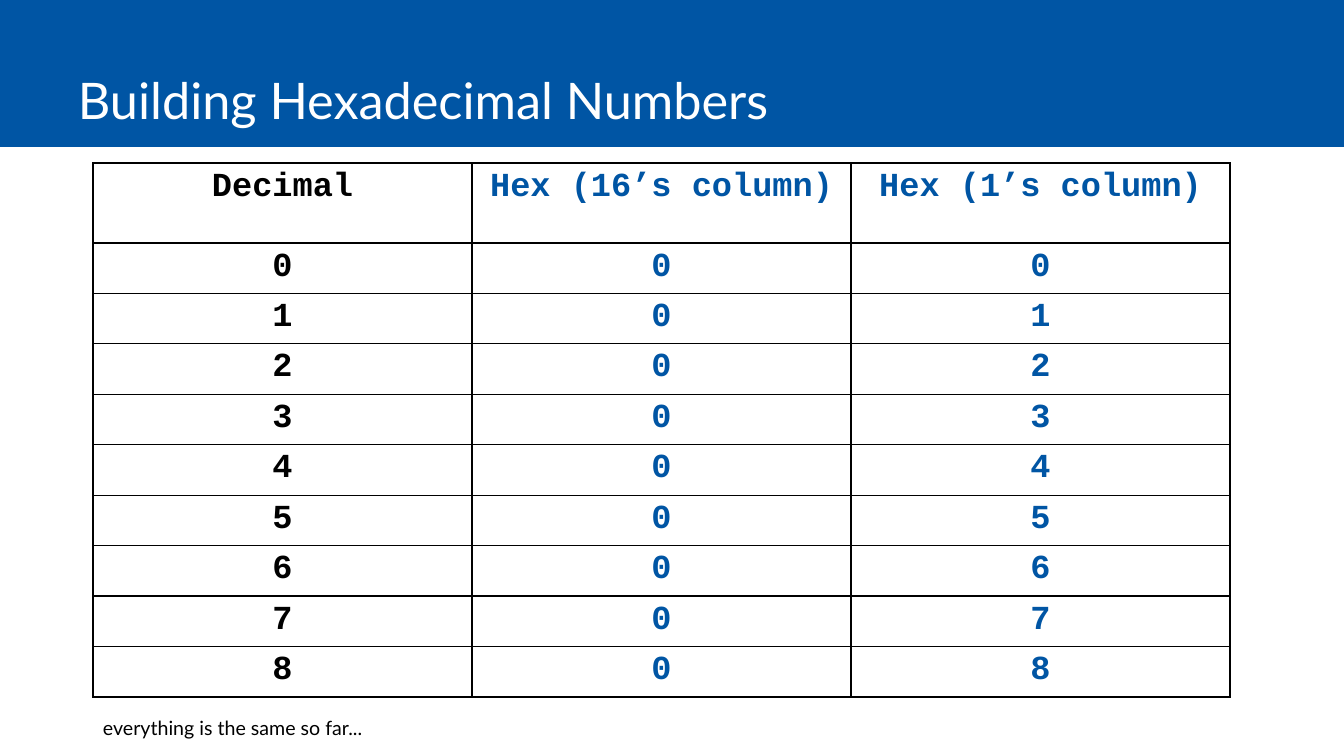
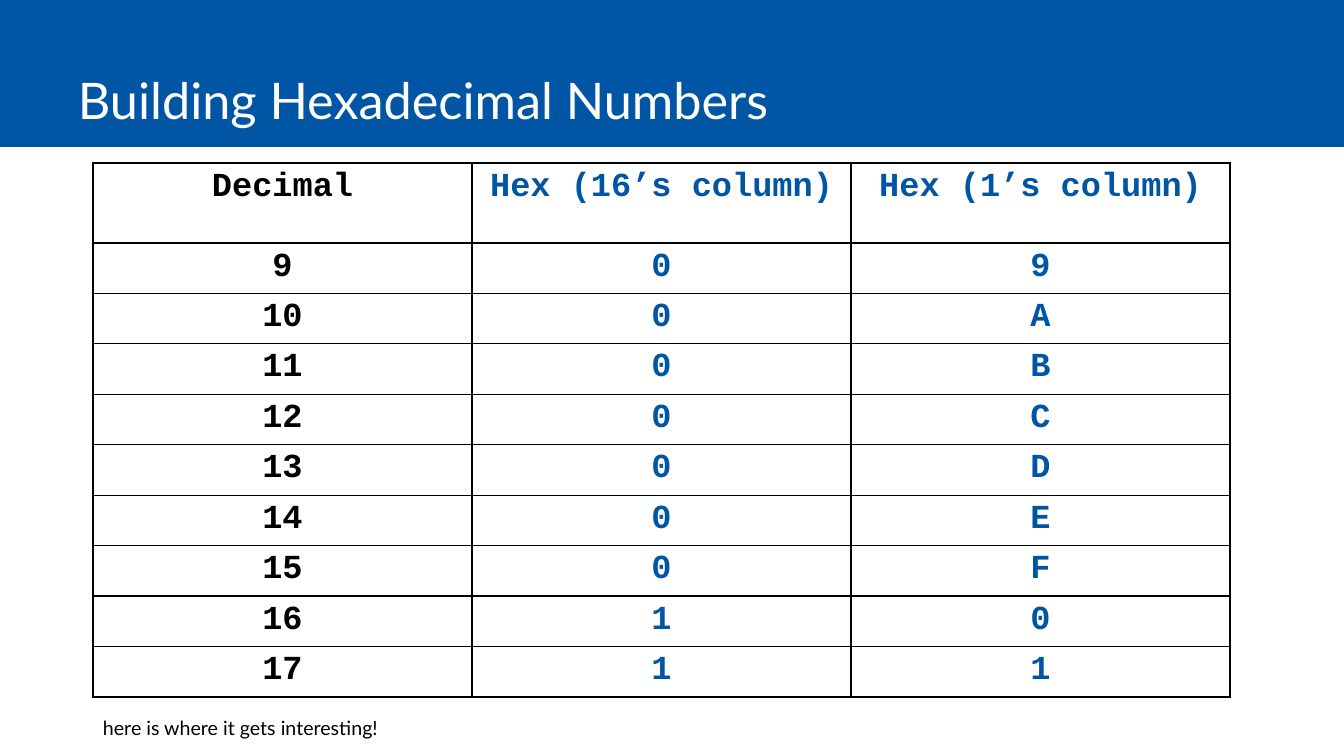
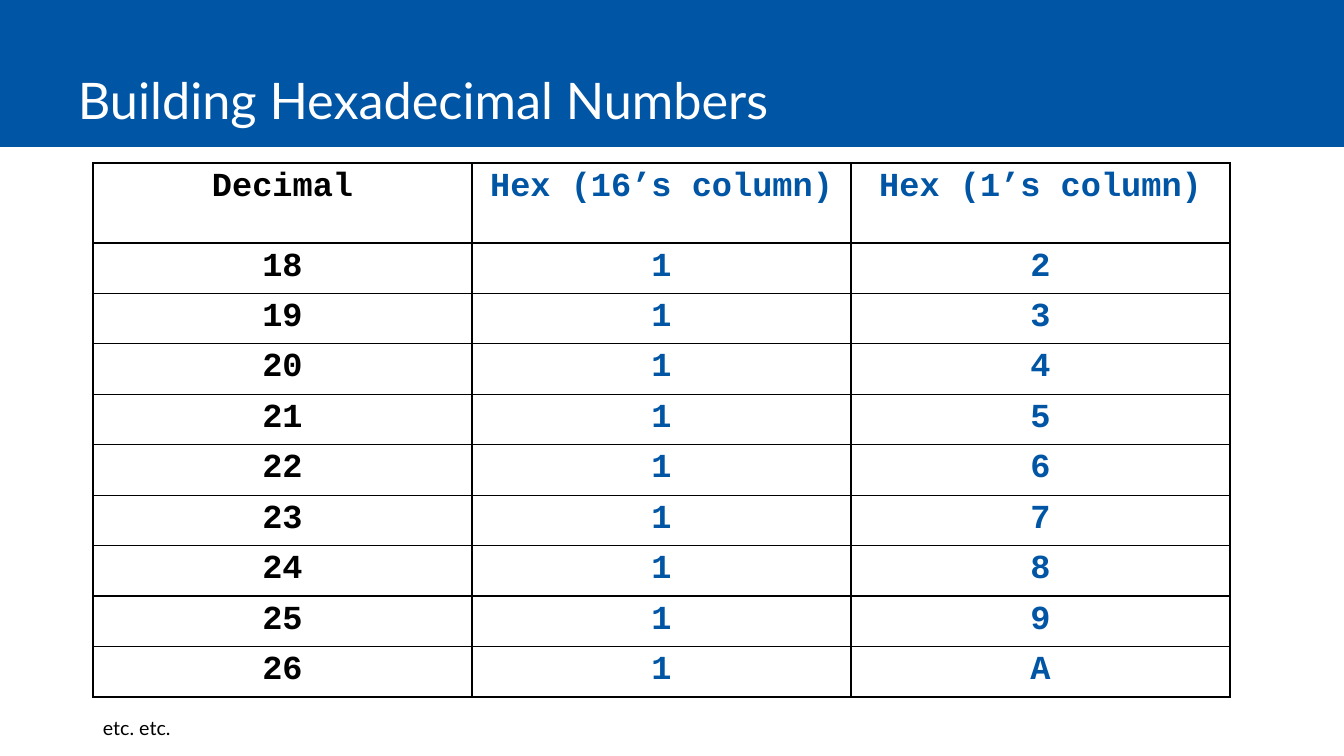
from lxml.etree import SubElement
from pptx import Presentation
from pptx.dml.color import RGBColor
from pptx.enum.shapes import MSO_SHAPE
from pptx.enum.text import MSO_ANCHOR, PP_ALIGN
from pptx.oxml.ns import qn
from pptx.util import Emu, Pt

TITLE = "Building Hexadecimal Numbers"
HEADS = ("Decimal", "Hex (16’s column)", "Hex (1’s column)")
ROWS = 9
# first decimal number, note below the table
PAGES = [
    (0, "everything is the same so far..."),
    (9, "here is where it gets interesting!"),
    (18, "etc. etc."),
]

BLUE = RGBColor(0x00, 0x55, 0xA4)
BLACK = RGBColor(0, 0, 0)
WHITE = RGBColor(255, 255, 255)
SANS, MONO = "Lato", "Courier New"

WIDE, HIGH = 1344, 756
BAND = 147
LEFT, TOP = 93, 163
GRID_W, GRID_H, HEAD_H = 1137, 528, 80


def px(n):
    return Emu(round(n * 914400 / 100.8))


def style(frame, font, size, color, bold=False, align=PP_ALIGN.LEFT):
    for para in frame.paragraphs:
        para.alignment = align
        for run in para.runs:
            run.font.name = font
            run.font.size = Pt(size)
            run.font.color.rgb = color
            run.font.bold = bold


def add_text(slide, text, box, size, color, anchor, pad):
    """Add a wrapped text box; pad is its top and bottom inset."""
    frame = slide.shapes.add_textbox(*map(px, box)).text_frame
    frame.word_wrap = True
    frame.vertical_anchor = anchor
    frame.margin_left = frame.margin_right = px(10)
    frame.margin_top = frame.margin_bottom = px(pad)
    frame.text = text
    style(frame, SANS, size, color)


def add_band(slide):
    band = slide.shapes.add_shape(
        MSO_SHAPE.RECTANGLE, 0, 0, px(WIDE), px(BAND))
    band.shadow.inherit = False
    band.fill.solid()
    band.fill.fore_color.rgb = BLUE
    band.line.fill.background()


def add_rules(cell):
    """Draw a thin black line on all four sides of a cell."""
    props = cell._tc.get_or_add_tcPr()
    for side in ("lnL", "lnR", "lnT", "lnB"):
        line = SubElement(props, qn(f"a:{side}"), w=str(Pt(1)))
        fill = SubElement(line, qn("a:solidFill"))
        SubElement(fill, qn("a:srgbClr"), val=str(BLACK))


def add_grid(slide, start):
    rows = [HEADS] + [(str(n), *f"{n:02X}") for n in range(start, start + ROWS)]
    table = slide.shapes.add_table(
        len(rows), len(HEADS), px(LEFT), px(TOP), px(GRID_W), px(GRID_H)).table
    table.first_row = table.horz_banding = False
    for col in table.columns:
        col.width = px(GRID_W / len(HEADS))
    for r, texts in enumerate(rows):
        table.rows[r].height = px((GRID_H - HEAD_H) / ROWS if r else HEAD_H)
        for c, text in enumerate(texts):
            cell = table.cell(r, c)
            cell.text_frame.text = text
            style(cell.text_frame, MONO, 24, BLUE if c else BLACK,
                  bold=True, align=PP_ALIGN.CENTER)
            add_rules(cell)
            cell.fill.background()


def main():
    deck = Presentation()
    deck.slide_width, deck.slide_height = px(WIDE), px(HIGH)
    for start, note in PAGES:
        slide = deck.slides.add_slide(deck.slide_layouts[6])
        add_band(slide)
        add_text(slide, TITLE, (68, 0, 1184, 135), 36, WHITE,
                 MSO_ANCHOR.BOTTOM, 5)
        add_grid(slide, start)
        add_text(slide, note, (LEFT, 706, 589, 44), 14, BLACK,
                 MSO_ANCHOR.TOP, 10)
    deck.save("out.pptx")


if __name__ == "__main__":
    main()
